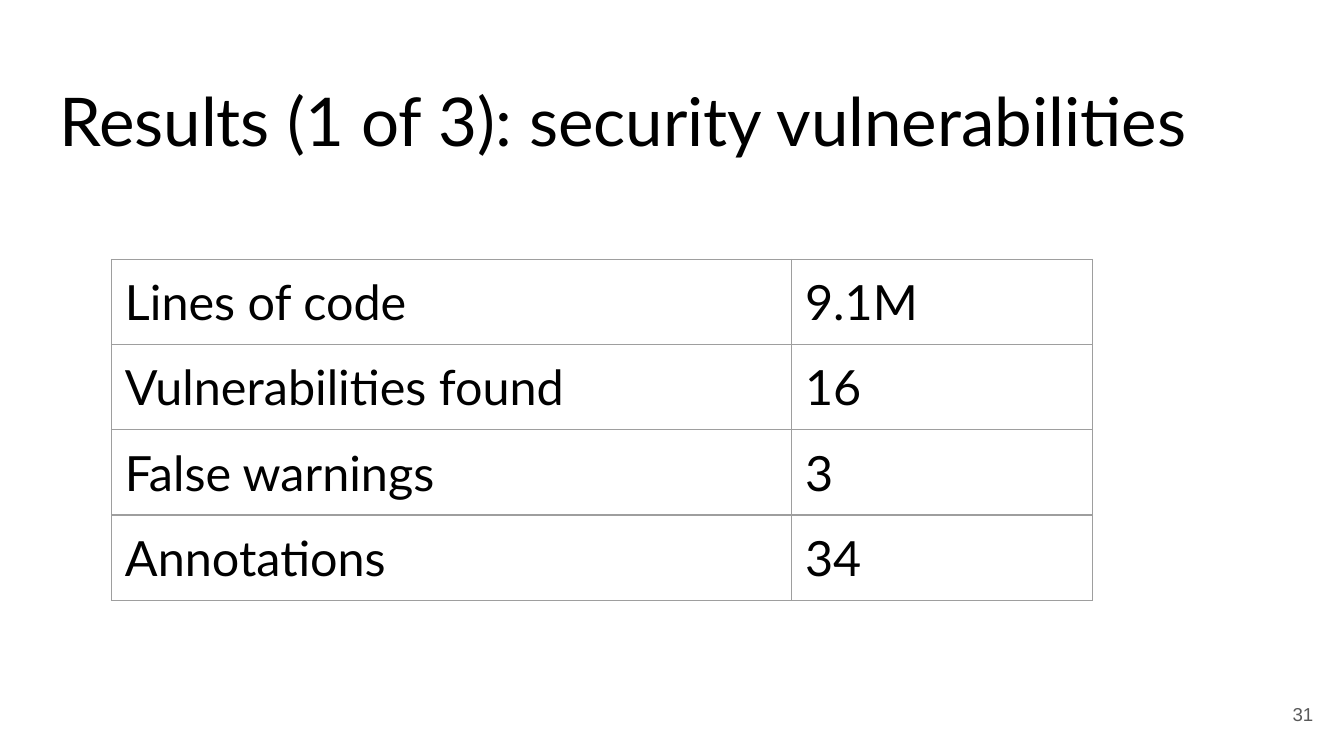
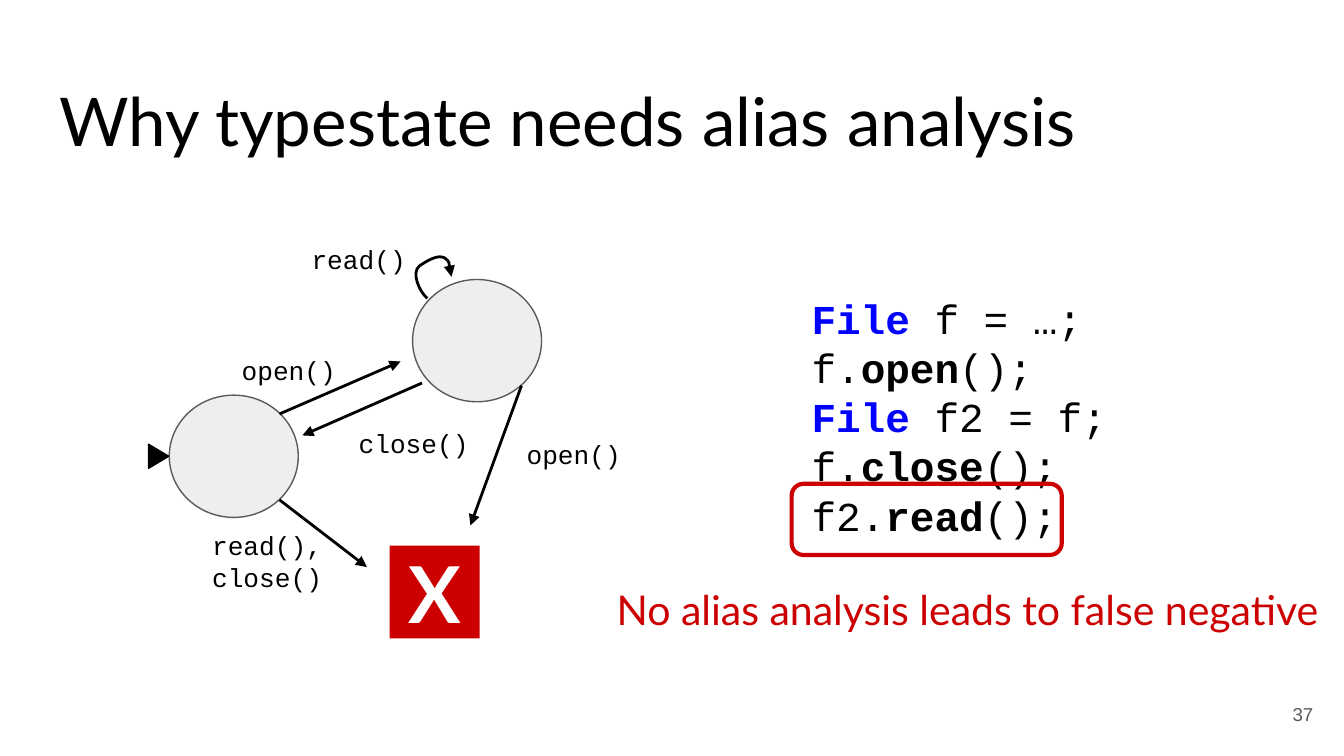
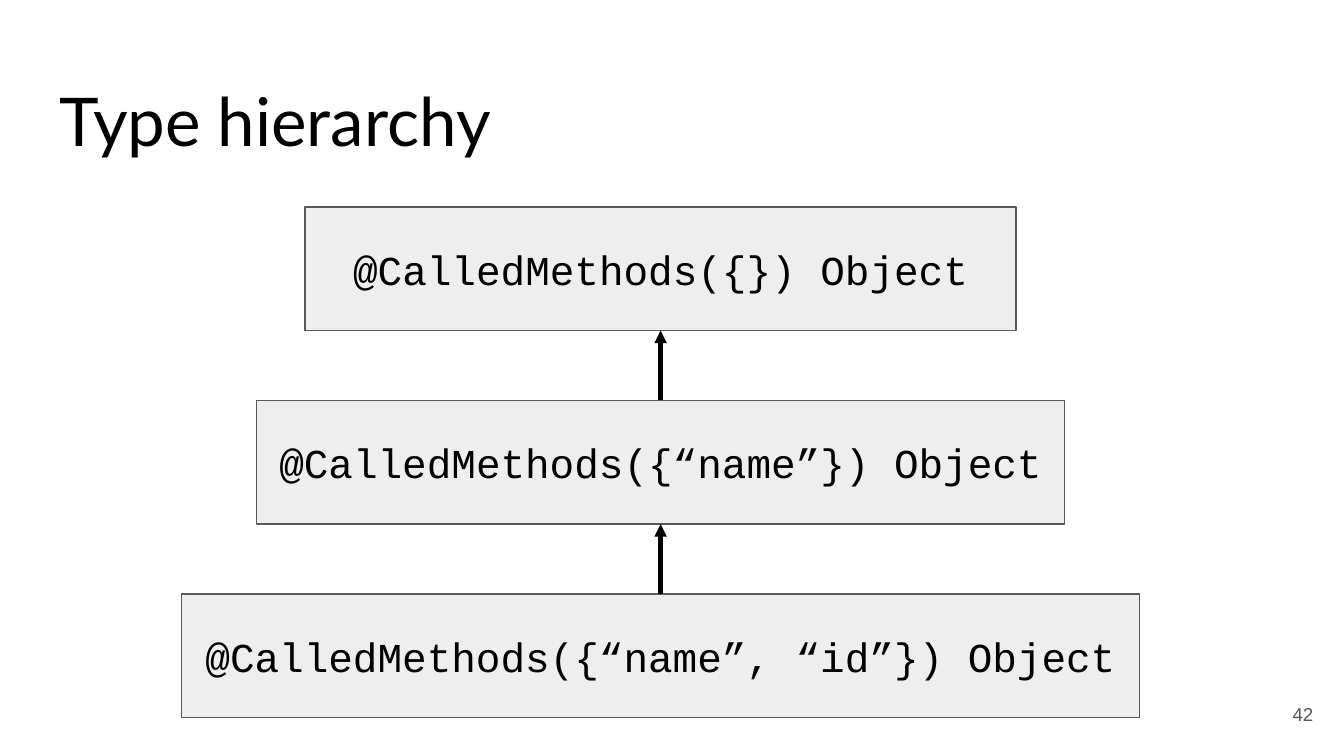
from pptx import Presentation
from pptx.dml.color import RGBColor
from pptx.enum.shapes import MSO_CONNECTOR, MSO_SHAPE
from pptx.enum.text import MSO_ANCHOR, MSO_AUTO_SIZE, PP_ALIGN
from pptx.oxml.ns import qn
from pptx.util import Inches, Pt
from lxml import etree

WIDTH = Inches(10)
HEIGHT = WIDTH * 9 // 16
COLUMNS = 100
TITLE_ONLY = 5

STRAIGHT = MSO_CONNECTOR.STRAIGHT
ELLIPSE, RECTANGLE = MSO_SHAPE.OVAL, MSO_SHAPE.RECTANGLE
ROUNDED, TRIANGLE = MSO_SHAPE.ROUNDED_RECTANGLE, MSO_SHAPE.FLOWCHART_EXTRACT
TOP, MIDDLE = MSO_ANCHOR.TOP, MSO_ANCHOR.MIDDLE
LEFT, CENTER, RIGHT = PP_ALIGN.LEFT, PP_ALIGN.CENTER, PP_ALIGN.RIGHT
FIXED = MSO_AUTO_SIZE.NONE

BLACK, WHITE, RED, BLUE = "000000", "FFFFFF", "CC0000", "0000FF"
PALE, GREY, BORDER = "EEEEEE", "595959", "9E9E9E"

TITLE = {"name": "Lato", "size": Pt(36), "color": BLACK}
NUMBER = {"name": "Arial", "size": Pt(10), "color": GREY}
CELL = {**TITLE, "size": Pt(26)}
CODE = {"name": "Courier New", "size": Pt(22), "color": BLACK}
LABEL = {**CODE, "size": Pt(14)}
CALL = {"bold": True}
KEYWORD = {"bold": True, "color": BLUE}
WARNING = {**TITLE, "size": Pt(22), "color": RED}
CROSS = {**TITLE, "size": Pt(42), "color": WHITE, "bold": True}


def grid(*units):
    """Turn square grid units, a hundred to the slide width, into lengths."""
    return [round(unit * WIDTH / COLUMNS) for unit in units]


def color(value):
    """Make a colour from a hex string."""
    return RGBColor.from_string(value)


def style(font, values):
    """Set every format value on a font."""
    for name, value in values.items():
        if name == "color":
            font.color.rgb = color(value)
        else:
            setattr(font, name, value)


def write(frame, lines, values, align=LEFT, anchor=TOP):
    """Fill a text frame with lines, each a list of (text, changes) spans."""
    settings = {"word_wrap": True, "auto_size": FIXED, "vertical_anchor": anchor}
    for side in ("left", "top", "right", "bottom"):
        settings["margin_" + side] = grid(1)[0]
    for name, value in settings.items():
        setattr(frame, name, value)
    for index, line in enumerate(lines):
        para = frame.add_paragraph() if index else frame.paragraphs[0]
        para.alignment = align
        for text, changes in line:
            span = para.add_run()
            span.text = text
            style(span.font, {**values, **changes})


def add_text(page, place, lines, values, align=LEFT, anchor=TOP):
    """Add a text box."""
    box = page.shapes.add_textbox(*grid(*place))
    write(box.text_frame, lines, values, align, anchor)


def add_page(deck, title, number, title_height=6.3):
    """Add a slide with its title and page number."""
    page = deck.slides.add_slide(deck.slide_layouts[TITLE_ONLY])
    box = page.shapes.title
    box.left, box.top, box.width, box.height = grid(3.4, 4.9, 93.2, title_height)
    write(box.text_frame, [[(title, {})]], TITLE)
    add_text(page, (92.7, 51, 6, 4.3), [[(str(number), {})]], NUMBER, RIGHT, MIDDLE)
    return page


def paint(shape, fill=None, line=None, weight=0.75):
    """Set the fill and outline of a shape and drop its shadow."""
    shape.shadow.inherit = False
    if fill:
        shape.fill.solid()
        shape.fill.fore_color.rgb = color(fill)
    else:
        shape.fill.background()
    if line:
        shape.line.color.rgb = color(line)
        shape.line.width = Pt(weight)
    else:
        shape.line.fill.background()


def add_figure(page, kind, place, fill=None, line=None, weight=0.75):
    """Add a painted preset shape."""
    shape = page.shapes.add_shape(kind, *grid(*place))
    paint(shape, fill, line, weight)
    return shape


def add_head(shape):
    """Put a triangle at the end of a line."""
    etree.SubElement(shape.line._get_or_add_ln(), qn("a:tailEnd"), type="triangle")


def add_arrow(page, start, end, weight=1.5):
    """Add a straight black arrow."""
    arrow = page.shapes.add_connector(STRAIGHT, *grid(*start, *end))
    arrow.line.color.rgb = color(BLACK)
    arrow.line.width = Pt(weight)
    add_head(arrow)
    etree.SubElement(arrow._element.spPr, qn("a:effectLst"))


def add_curve(page, points):
    """Add a curved arrow from a start point and triples of Bezier points."""
    start, *rest = [grid(*point) for point in points]
    builder = page.shapes.build_freeform(*start)
    builder.add_line_segments(rest, close=False)
    curve = builder.convert_to_shape()
    paint(curve, line=BLACK, weight=1.5)
    add_head(curve)
    segments = list(curve._element.iter(qn("a:lnTo")))
    for first in range(0, len(segments), 3):
        bend = etree.Element(qn("a:cubicBezTo"))
        segments[first].addprevious(bend)
        for segment in segments[first:first + 3]:
            bend.append(segment[0])
            segment.getparent().remove(segment)


def add_borders(cell):
    """Draw a thin line on every side of a cell."""
    properties = cell._tc.get_or_add_tcPr()
    for index, side in enumerate(("lnL", "lnR", "lnT", "lnB")):
        line = etree.Element(qn("a:" + side), w=str(Pt(0.75)))
        fill = etree.SubElement(line, qn("a:solidFill"))
        etree.SubElement(fill, qn("a:srgbClr"), val=BORDER)
        properties.insert(index, line)


def add_grid_table(page, left, top, widths, row_height, rows):
    """Add a plain bordered table."""
    place = grid(left, top, sum(widths), row_height * len(rows))
    table = page.shapes.add_table(len(rows), len(widths), *place).table
    table.first_row = table.horz_banding = False
    for column, width in zip(table.columns, grid(*widths)):
        column.width = width
    for row, texts in zip(table.rows, rows):
        row.height = grid(row_height)[0]
        for cell, text in zip(row.cells, texts):
            cell.fill.background()
            add_borders(cell)
            for side in ("left", "top", "right", "bottom"):
                setattr(cell, "margin_" + side, grid(1)[0])
            para = cell.text_frame.paragraphs[0]
            span = para.add_run()
            span.text = text
            style(span.font, CELL)


def results_page(deck):
    """Show the security results."""
    page = add_page(deck, "Results (1 of 3): security vulnerabilities", 31, 12.6)
    rows = [
        ("Lines of code", "9.1M"),
        ("Vulnerabilities found", "16"),
        ("False warnings", "3"),
        ("Annotations", "34"),
    ]
    add_grid_table(page, 8.3, 19.3, (50.6, 22.4), 6.33, rows)


def typestate_page(deck):
    """Show the file state machine beside the code that defeats it."""
    page = add_page(deck, "Why typestate needs alias analysis", 37)
    code = [
        [("File", KEYWORD), (" f = …;", {})],
        [("f.", {}), ("open", CALL), ("();", {})],
        [("File", KEYWORD), (" f2 = f;", {})],
        [("f.", {}), ("close", CALL), ("();", {})],
        [("f2.", {}), ("read", CALL), ("();", {})],
    ]
    add_text(page, (59.4, 20.8, 33.2, 21.2), code, CODE)

    for left, top in ((12.6, 29.4), (30.7, 20.8)):
        add_figure(page, ELLIPSE, (left, top, 9.6, 9.1), PALE, GREY)
    add_figure(page, TRIANGLE, (10.9, 33.2, 1.8, 1.5), BLACK, BLACK).rotation = 90

    arrows = [
        ((20.8, 30.8), (29.8, 26.9)),
        ((20.8, 37.2), (27.3, 42.2)),
        ((31.4, 28.5), (22.5, 32.4)),
        ((38.8, 28.7), (35, 39.1)),
    ]
    for start, end in arrows:
        add_arrow(page, start, end)
    add_curve(page, [
        (31.8, 22.2),
        (31.2, 21.7), (30.6, 20.3), (31.2, 19.8),
        (31.8, 19.4), (32.6, 18.9), (33.1, 19.2),
        (33.5, 19.5), (33.5, 20.2), (33.6, 20.6),
    ])

    labels = [
        ("open()", 17, 25.4, 24.6),
        ("read(), close()", 14.8, 38.4, 10.9),
        ("close()", 25.7, 30.8, 10.9),
        ("read()", 22.2, 17.1, 24.6),
        ("open()", 38.2, 31.6, 24.6),
    ]
    for text, left, top, width in labels:
        add_text(page, (left, top, width, 3.3), [[(text, {})]], LABEL)

    error = add_figure(page, RECTANGLE, (29, 40.6, 6.7, 6.9), RED)
    write(error.text_frame, [[("X", {})]], CROSS, CENTER, MIDDLE)
    add_figure(page, ROUNDED, (58.9, 36, 20.1, 5.3), line=RED, weight=2.25)
    warning = "No alias analysis leads to false negative"
    add_text(page, (44.9, 42.5, 59.2, 7.4), [[(warning, {})]], WARNING)


def hierarchy_page(deck):
    """Stack the types from general to specific."""
    page = add_page(deck, "Type hierarchy", 42)
    axis, first, step, height = 49.15, 15.4, 14.4, 9.2
    types = [
        ("@CalledMethods({}) Object", 52.9),
        ("@CalledMethods({“name”}) Object", 60.1),
        ("@CalledMethods({“name”, “id”}) Object", 71.3),
    ]
    for index, (text, width) in enumerate(types):
        top = first + index * step
        place = (axis - width / 2, top, width, height)
        box = add_figure(page, RECTANGLE, place, PALE, GREY)
        write(box.text_frame, [[(text, {})]], CODE, CENTER, MIDDLE)
        if index:
            add_arrow(page, (axis, top), (axis, top - step + height), 2.25)


def main():
    """Build and save the deck."""
    deck = Presentation()
    deck.slide_width, deck.slide_height = WIDTH, HEIGHT
    results_page(deck)
    typestate_page(deck)
    hierarchy_page(deck)
    deck.save("out.pptx")


if __name__ == "__main__":
    main()
